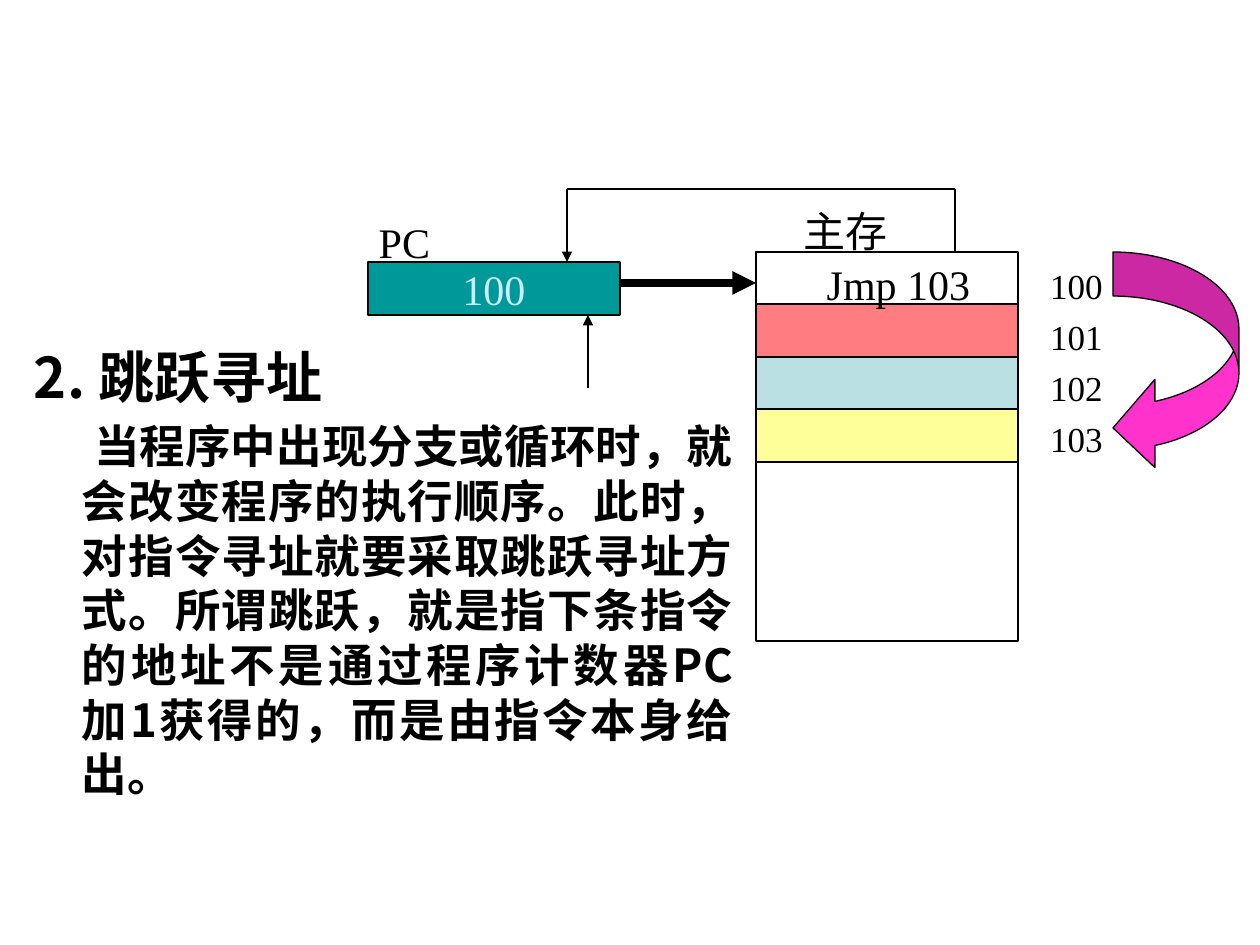
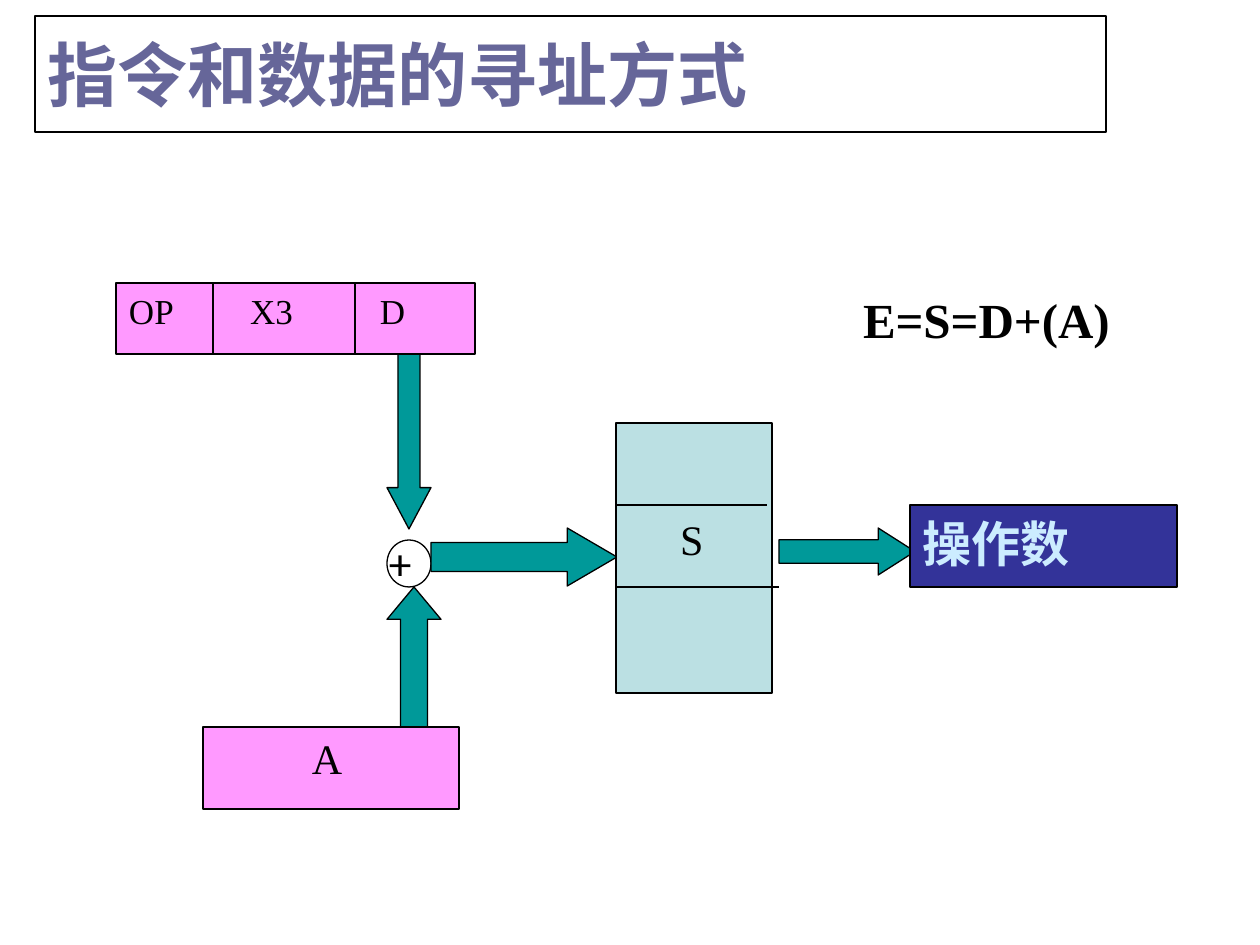
from lxml import etree
from pptx import Presentation
from pptx.dml.color import RGBColor
from pptx.enum.shapes import MSO_CONNECTOR, MSO_SHAPE
from pptx.enum.text import MSO_ANCHOR, PP_ALIGN
from pptx.oxml.ns import qn
from pptx.util import Pt

EMU_PER_PX = 914400 / 126
BLANK_LAYOUT = 6

BLACK = RGBColor(0x00, 0x00, 0x00)
WHITE = RGBColor(0xFF, 0xFF, 0xFF)
TEAL = RGBColor(0x00, 0x99, 0x99)
PALE_TEAL = RGBColor(0xBB, 0xE0, 0xE3)
CORAL = RGBColor(0xFF, 0x7C, 0x80)
YELLOW = RGBColor(0xFF, 0xFF, 0x99)
MAGENTA = RGBColor(0xFF, 0x33, 0xCC)
PINK = RGBColor(0xFF, 0x99, 0xFF)
NAVY = RGBColor(0x33, 0x33, 0x99)
ICE = RGBColor(0xCC, 0xEC, 0xFF)
SLATE = RGBColor(0x66, 0x66, 0x99)

SERIF = "Times New Roman"
CJK_SC = "Noto Sans CJK SC"
CJK_JP = "Noto Sans CJK JP"
PLUS_FONT = "Karla"

RECT = MSO_SHAPE.RECTANGLE
OVAL = MSO_SHAPE.OVAL
DOWN = MSO_SHAPE.DOWN_ARROW
UP = MSO_SHAPE.UP_ARROW
RIGHT = MSO_SHAPE.RIGHT_ARROW
CURVED_LEFT = MSO_SHAPE.CURVED_LEFT_ARROW
STRAIGHT = MSO_CONNECTOR.STRAIGHT
TOP, MIDDLE = MSO_ANCHOR.TOP, MSO_ANCHOR.MIDDLE
LEFT, CENTER, JUSTIFY = PP_ALIGN.LEFT, PP_ALIGN.CENTER, PP_ALIGN.JUSTIFY

TIGHT = {"anchor": MIDDLE, "inset_left": 0, "inset_right": 0}


def px(length):
    return round(length * EMU_PER_PX)


def apply(target, values):
    for attribute, value in values.items():
        setattr(target, attribute, value)


def add_paragraph(paragraph, text, size, font=SERIF, color=BLACK, bold=False,
                  east_asian=CJK_SC, margin=0, indent=0, **layout):
    properties = paragraph._p.get_or_add_pPr()
    properties.set("marL", str(px(margin)))
    properties.set("indent", str(px(indent)))
    apply(paragraph, layout)
    run = paragraph.add_run()
    run.text = text
    apply(run.font, {"size": Pt(size), "name": font, "bold": bold})
    run.font.color.rgb = color
    etree.SubElement(run._r.get_or_add_rPr(), qn("a:ea"), typeface=east_asian)


def set_frame(shape, anchor=TOP, inset_left=13, inset_right=13, inset_top=6):
    frame = shape.text_frame
    apply(frame, {"word_wrap": True, "vertical_anchor": anchor,
                  "margin_left": px(inset_left), "margin_right": px(inset_right),
                  "margin_top": px(inset_top), "margin_bottom": px(6)})
    return frame


def write(shape, text, size, frame=None, **style):
    text_frame = set_frame(shape, **(frame or {}))
    add_paragraph(text_frame.paragraphs[0], text, size, **style)


def add_label(slide, box, text, size, frame=None, **style):
    label = slide.shapes.add_textbox(*map(px, box))
    write(label, text, size, frame, **style)


def add_block(slide, box, fill=None, kind=RECT, adjustments=()):
    block = slide.shapes.add_shape(kind, *map(px, box))
    block.shadow.inherit = False
    if fill is None:
        block.fill.background()
    else:
        block.fill.solid()
        block.fill.fore_color.rgb = fill
    block.line.color.rgb = BLACK
    block.line.width = Pt(0.75)
    for index, value in enumerate(adjustments):
        block.adjustments[index] = value
    return block


def add_line(slide, start, end, width=0.75, arrow=False):
    line = slide.shapes.add_connector(STRAIGHT, *map(px, start + end))
    line.line.color.rgb = BLACK
    line.line.width = Pt(width)
    if arrow:
        etree.SubElement(line.line._get_or_add_ln(), qn("a:tailEnd"), type="triangle")
    etree.SubElement(line._element.spPr, qn("a:effectLst"))


def add_explanation(slide):
    explanation = slide.shapes.add_textbox(*map(px, (21, 332, 725, 504)))
    frame = set_frame(explanation)
    style = {"font": CJK_SC, "bold": True, "margin": 48}
    add_paragraph(frame.paragraphs[0], "2. 跳跃寻址", 32, indent=-48,
                  line_spacing=Pt(41), **style)
    add_paragraph(
        frame.add_paragraph(),
        "当程序中出现分支或循环时，就会改变程序的执行顺序。此时，对指令寻址就要采取"
        "跳跃寻址方式。所谓跳跃，就是指下条指令的地址不是通过程序计数器PC加1获得的，"
        "而是由指令本身给出。",
        26, indent=12, alignment=JUSTIFY, line_spacing=Pt(31.2),
        space_before=Pt(5), **style)


def add_addresses(slide, box, addresses):
    column = slide.shapes.add_textbox(*map(px, box))
    frame = set_frame(column, **TIGHT)
    for index, address in enumerate(addresses):
        paragraph = frame.add_paragraph() if index else frame.paragraphs[0]
        gap = {"space_before": Pt(5)} if index else {}
        add_paragraph(paragraph, address, 20, alignment=CENTER, **gap)


def build_jump_slide(slide):
    add_explanation(slide)

    counter = add_block(slide, (368, 262, 252, 53), TEAL)
    write(counter, "100", 24, TIGHT, color=ICE, alignment=CENTER)

    memory_left, memory_top, memory_width = 756, 252, 262
    for row, fill in enumerate((None, CORAL, PALE_TEAL, YELLOW)):
        add_block(slide, (memory_left, memory_top + row * 105 // 2, memory_width, 53), fill)
    add_block(slide, (memory_left, 462, memory_width, 179))

    add_block(slide, (1113, 252, 126, 220), MAGENTA, CURVED_LEFT, (0.35, 0.7, 0.333))
    add_line(slide, (620, 283), (756, 283), 4.5, arrow=True)
    add_line(slide, (588, 388), (588, 315), arrow=True)
    add_line(slide, (955, 252), (955, 189))
    add_line(slide, (955, 189), (567, 189))
    add_line(slide, (567, 189), (567, 262), arrow=True)

    for box, text in (((368, 221, 73, 42), "PC"), ((798, 210, 95, 42), "主存"),
                      ((809, 252, 179, 63), "Jmp 103")):
        add_label(slide, box, text, 24, TIGHT, alignment=CENTER)
    add_addresses(slide, (1040, 252, 73, 220), ("100", "101", "102", "103"))


def build_base_slide(slide):
    title = add_block(slide, (35, 16, 1071, 116))
    write(title, "指令和数据的寻址方式", 40, {"anchor": MIDDLE}, font=CJK_JP,
          color=SLATE, bold=True, east_asian=CJK_JP, alignment=LEFT)

    add_block(slide, (387, 354, 44, 175), TEAL, DOWN, (0.5, 0.938))
    add_block(slide, (387, 540, 44, 47), WHITE, OVAL)
    add_block(slide, (387, 587, 54, 140), TEAL, UP, (0.5, 0.6))
    base = add_block(slide, (203, 727, 256, 82), PINK)
    write(base, "A", 24, margin=96, alignment=LEFT)
    add_block(slide, (431, 528, 186, 58), TEAL, RIGHT, (0.5, 0.857))
    add_block(slide, (779, 528, 136, 47), TEAL, RIGHT, (0.5, 0.783))
    operand = add_block(slide, (910, 505, 267, 82), NAVY)
    write(operand, "操作数", 28, color=ICE, bold=True, alignment=LEFT,
          line_spacing=Pt(35))

    for left, right, inset, field in ((116, 213, 13, "OP"), (213, 355, 37, "X3"),
                                      (355, 475, 25, "D")):
        cell = add_block(slide, (left, 283, right - left, 71), PINK)
        write(cell, field, 20, {"inset_left": inset}, alignment=LEFT)
    add_label(slide, (377, 528, 66, 63), "+", 24, {"inset_top": 7}, font=PLUS_FONT)

    storage = add_block(slide, (616, 423, 156, 270), PALE_TEAL)
    write(storage, "S", 24, {"inset_top": 91, "inset_left": 64}, alignment=LEFT)
    for right, y in ((767, 505), (779, 587)):
        add_line(slide, (616, y), (right, y))
    add_label(slide, (850, 283, 297, 72), "E=S=D+(A)", 28, bold=True)


def main():
    deck = Presentation()
    deck.slide_width, deck.slide_height = px(1260), px(945)
    for build in (build_jump_slide, build_base_slide):
        build(deck.slides.add_slide(deck.slide_layouts[BLANK_LAYOUT]))
    deck.save("out.pptx")


if __name__ == "__main__":
    main()
